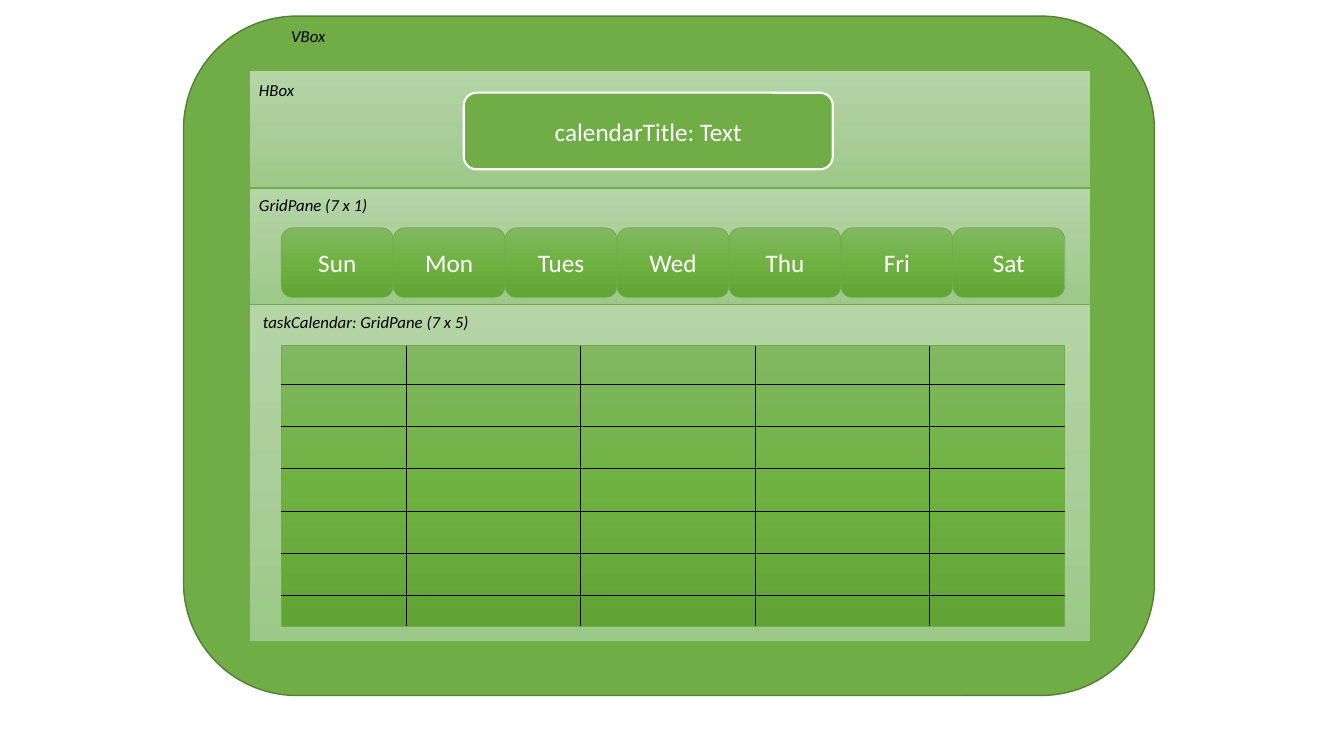
from copy import deepcopy

from pptx import Presentation
from pptx.dml.color import RGBColor
from pptx.enum.shapes import MSO_CONNECTOR as Connector, MSO_SHAPE as Shape
from pptx.enum.text import MSO_ANCHOR as Anchor, MSO_AUTO_SIZE as AutoSize, PP_ALIGN as Align
from pptx.oxml.ns import qn
from pptx.util import Inches, Pt

COLORS = {
    "green": "70AD47",
    "dark green": "538035",
    "white": "FFFFFF",
    "black": "000000",
}
PANEL_FILL = ("B5D5A7", "AACE9A", "9CC987")
CELL_FILL = ("81B861", "6FB242", "62A336")
DAYS = ("Sun", "Mon", "Tues", "Wed", "Thu", "Fri", "Sat")


def color(name):
    return RGBColor.from_string(COLORS[name])


def write(frame, text, size, color_name, italic=False):
    run = frame.paragraphs[0].add_run()
    run.text = text
    run.font.name = "Calibri"
    run.font.size = Pt(size)
    run.font.italic = italic
    run.font.color.rgb = color(color_name)


def add_box(slide, kind, box, line="green", line_width=0.5, text=None):
    shape = slide.shapes.add_shape(kind, *map(Inches, box))
    shape.shadow.inherit = False
    shape.fill.solid()
    shape.fill.fore_color.rgb = color("green")
    shape.line.color.rgb = color(line)
    shape.line.width = Pt(line_width)
    if text:
        shape.text_frame.vertical_anchor = Anchor.MIDDLE
        shape.text_frame.paragraphs[0].alignment = Align.CENTER
        write(shape.text_frame, text, 18, "white")
    return shape


def shade(shape, hexes):
    """Fill from top to bottom with three evenly spaced colours."""
    fill = shape.fill
    fill.gradient()
    fill.gradient_angle = 270
    stops = shape._element.spPr.find(".//" + qn("a:gsLst"))
    stops.insert(1, deepcopy(stops[0]))
    for i, (stop, value) in enumerate(zip(fill.gradient_stops, hexes)):
        stop.position = i / 2
        stop.color.rgb = RGBColor.from_string(value)


def add_label(slide, left, top, width, text):
    label = slide.shapes.add_textbox(Inches(left), Inches(top), Inches(width), Inches(0.3))
    label.text_frame.word_wrap = True
    label.text_frame.auto_size = AutoSize.SHAPE_TO_FIT_TEXT
    write(label.text_frame, text, 12, "black", italic=True)


def add_rule(slide, x1, y1, x2, y2):
    rule = slide.shapes.add_connector(Connector.STRAIGHT, *map(Inches, (x1, y1, x2, y2)))
    rule.line.color.rgb = color("black")
    rule.line.width = Pt(0.5)
    properties = rule._element.spPr
    properties.append(properties.makeelement(qn("a:effectLst"), {}))


def add_panel(slide, box):
    shade(add_box(slide, Shape.RECTANGLE, box), PANEL_FILL)


def build_vbox(slide, box):
    left, top, _, _ = box
    add_box(slide, Shape.ROUNDED_RECTANGLE, box, "dark green", 1)
    add_label(slide, left + 0.97, top + 0.05, 1.66, "VBox")


def build_title_row(slide, box):
    left, top, _, _ = box
    add_panel(slide, box)
    add_label(slide, left, top + 0.04, 1.66, "HBox")
    add_box(slide, Shape.ROUNDED_RECTANGLE, (left + 2.13, top + 0.22, 3.66, 0.76),
            "white", 1.5, "calendarTitle: Text")


def build_weekdays(slide, box):
    left, top, _, _ = box
    day_width = 1.11
    add_panel(slide, box)
    add_label(slide, left, top + 0.01, 2.41, "GridPane (7 x 1)")
    for i, day in enumerate(DAYS):
        day_box = (left + 0.32 + i * day_width, top + 0.39, day_width, 0.69)
        shade(add_box(slide, Shape.ROUNDED_RECTANGLE, day_box, text=day), CELL_FILL)


def build_task_calendar(slide, box):
    left, top, _, _ = box
    add_panel(slide, box)
    add_label(slide, left + 0.04, top + 0.02, 2.72, "taskCalendar: GridPane (7 x 5)")

    # Grid with its dividing lines
    x, y, width, height = left + 0.32, top + 0.41, 7.77, 2.78
    shade(add_box(slide, Shape.RECTANGLE, (x, y, width, height)), CELL_FILL)
    for row in range(6):
        row_y = y + 0.38 + row * 0.42
        add_rule(slide, x, row_y, x + width, row_y)
    for column in range(4):
        column_x = x + 1.24 + column * 1.73
        add_rule(slide, column_x, y, column_x, y + height)


def main():
    deck = Presentation()
    deck.slide_width = Inches(13.33)
    deck.slide_height = Inches(7.5)
    slide = deck.slides.add_slide(deck.slide_layouts[6])

    build_vbox(slide, (1.82, 0.16, 9.63, 6.74))
    build_weekdays(slide, (2.47, 1.87, 8.34, 1.16))
    build_title_row(slide, (2.47, 0.7, 8.34, 1.16))
    build_task_calendar(slide, (2.47, 3.02, 8.34, 3.34))
    deck.save("out.pptx")


if __name__ == "__main__":
    main()
